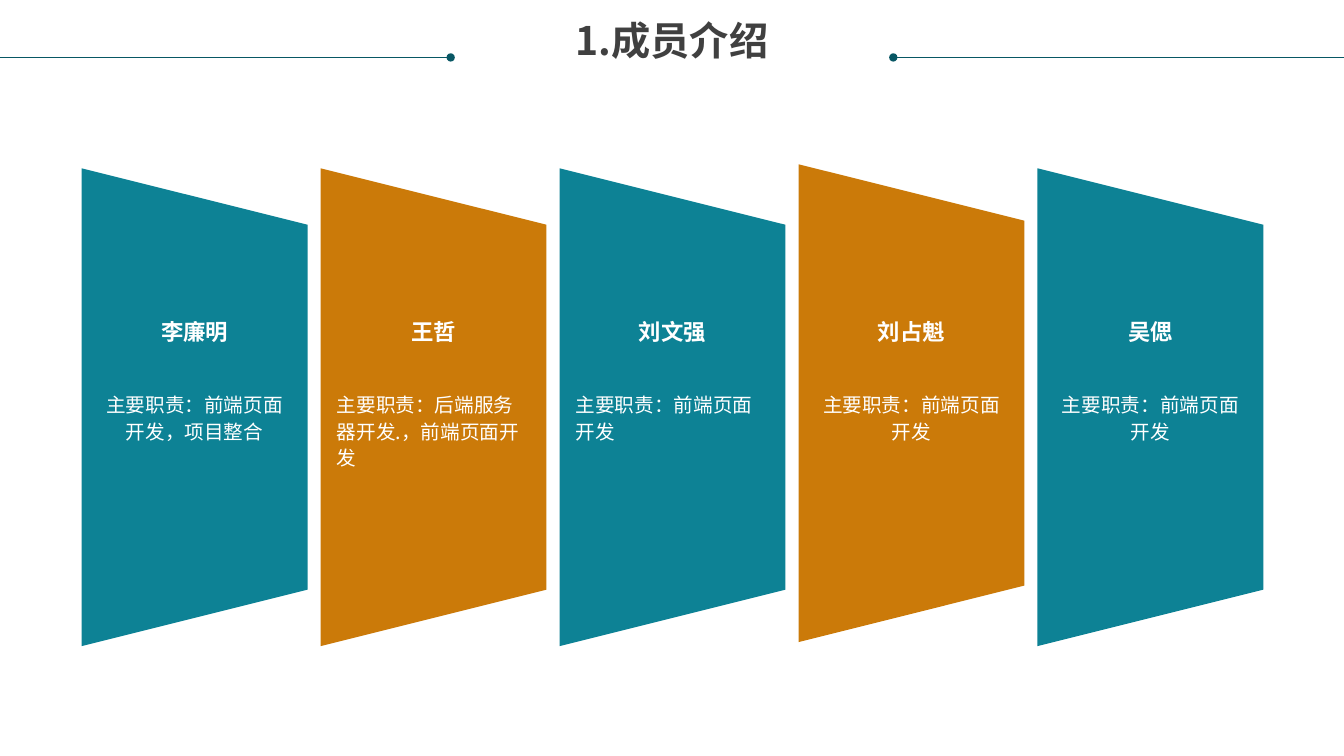
from dataclasses import dataclass

from pptx import Presentation
from pptx.dml.color import RGBColor
from pptx.enum.shapes import MSO_CONNECTOR, MSO_SHAPE
from pptx.enum.text import MSO_ANCHOR, MSO_AUTO_SIZE, PP_ALIGN
from pptx.oxml.ns import qn
from pptx.util import Inches, Pt
from lxml.etree import SubElement


@dataclass(frozen=True)
class Theme:
    face: str = "Noto Sans CJK SC"
    ink: str = "404040"
    rule: str = "085764"
    teal: str = "0D8295"
    amber: str = "CB7A09"
    white: str = "FFFFFF"
    title: int = 28
    name: int = 16
    duty: int = 14


THEME = Theme()
MID, LEFT = PP_ALIGN.CENTER, PP_ALIGN.LEFT

# Name, duty, duty alignment, upward shift of the panel
TEAM = [
    ("李廉明", "主要职责：前端页面开发，项目整合", MID, 0),
    ("王哲", "主要职责：后端服务器开发.，前端页面开发", LEFT, 0),
    ("刘文强", "主要职责：前端页面开发", LEFT, 0),
    ("刘占魁", "主要职责：前端页面开发", MID, 0.04),
    ("吴偲", "主要职责：前端页面开发", MID, 0),
]


def write(shape, text, size, color, align=MID, bold=False, space=None):
    """Fill a text shape with one styled paragraph and no insets."""
    frame = shape.text_frame
    frame.word_wrap = True
    frame.auto_size = MSO_AUTO_SIZE.NONE
    frame.vertical_anchor = MSO_ANCHOR.TOP
    frame.margin_left = frame.margin_right = 0
    frame.margin_top = frame.margin_bottom = 0
    para = frame.paragraphs[0]
    para.text = text
    para.alignment = align
    para.line_spacing = space
    font = para.font
    font.name, font.size, font.bold = THEME.face, Pt(size), bold
    font.color.rgb = RGBColor.from_string(color)
    # East Asian typeface
    base = para._p.pPr.find(qn("a:defRPr"))
    SubElement(base, qn("a:ea")).set("typeface", THEME.face)


def label(slide, x, y, w, h, *args, **style):
    box = slide.shapes.add_textbox(Inches(x), Inches(y), Inches(w), Inches(h))
    write(box, *args, **style)


def rule(slide, edge, dot, y):
    """Line from the slide edge to a round dot."""
    line = slide.shapes.add_connector(
        MSO_CONNECTOR.STRAIGHT, Inches(edge), Inches(y), Inches(dot), Inches(y))
    line.line.color.rgb = RGBColor.from_string(THEME.rule)
    line.line.width = Pt(0.5)
    SubElement(line.line._get_or_add_ln(), qn("a:tailEnd")).set("type", "oval")
    SubElement(line._element.spPr, qn("a:effectLst"))


def header(slide, x, y, w, h):
    title = slide.shapes.title
    title.left, title.top = Inches(x), Inches(y)
    title.width, title.height = Inches(w), Inches(h)
    write(title, "1.成员介绍", THEME.title, THEME.ink, bold=True, space=0.9)
    for edge, dot in ((0, 4.47), (13.33, 8.86)):
        rule(slide, edge, dot, y + 0.36)


def panel(slide, x, y, w, h, color):
    """Trapezoid turned a quarter, filling the upright box."""
    shape = slide.shapes.add_shape(
        MSO_SHAPE.TRAPEZOID, Inches(x + (w - h) / 2), Inches(y + (h - w) / 2),
        Inches(h), Inches(w))
    shape.rotation = 90
    shape.shadow.inherit = False
    shape.fill.solid()
    shape.fill.fore_color.rgb = RGBColor.from_string(color)
    shape.line.fill.background()


def member(slide, x, y, w, h, color, name, duty, align, lift):
    panel(slide, x, y - lift, w, h, color)
    label(slide, x + 0.37, y + 1.49, w - 0.74, 0.27,
          name, THEME.name, THEME.white, bold=True)
    label(slide, x + 0.16, y + 2.2, w - 0.32, 0.8,
          duty, THEME.duty, THEME.white, align=align, space=Pt(19))


def team(slide, x, y, w, h, gap):
    wide = (w - gap * (len(TEAM) - 1)) / len(TEAM)
    for i, person in enumerate(TEAM):
        color = THEME.amber if i % 2 else THEME.teal
        member(slide, x + i * (wide + gap), y, wide, h, color, *person)


def main():
    deck = Presentation()
    deck.slide_width, deck.slide_height = Inches(13.33), Inches(7.5)
    slide = deck.slides.add_slide(deck.slide_layouts[5])
    header(slide, 0.25, 0.21, 12.83, 0.85)
    team(slide, 0.81, 1.67, 11.72, 4.74, 0.13)
    deck.save("out.pptx")


if __name__ == "__main__":
    main()
